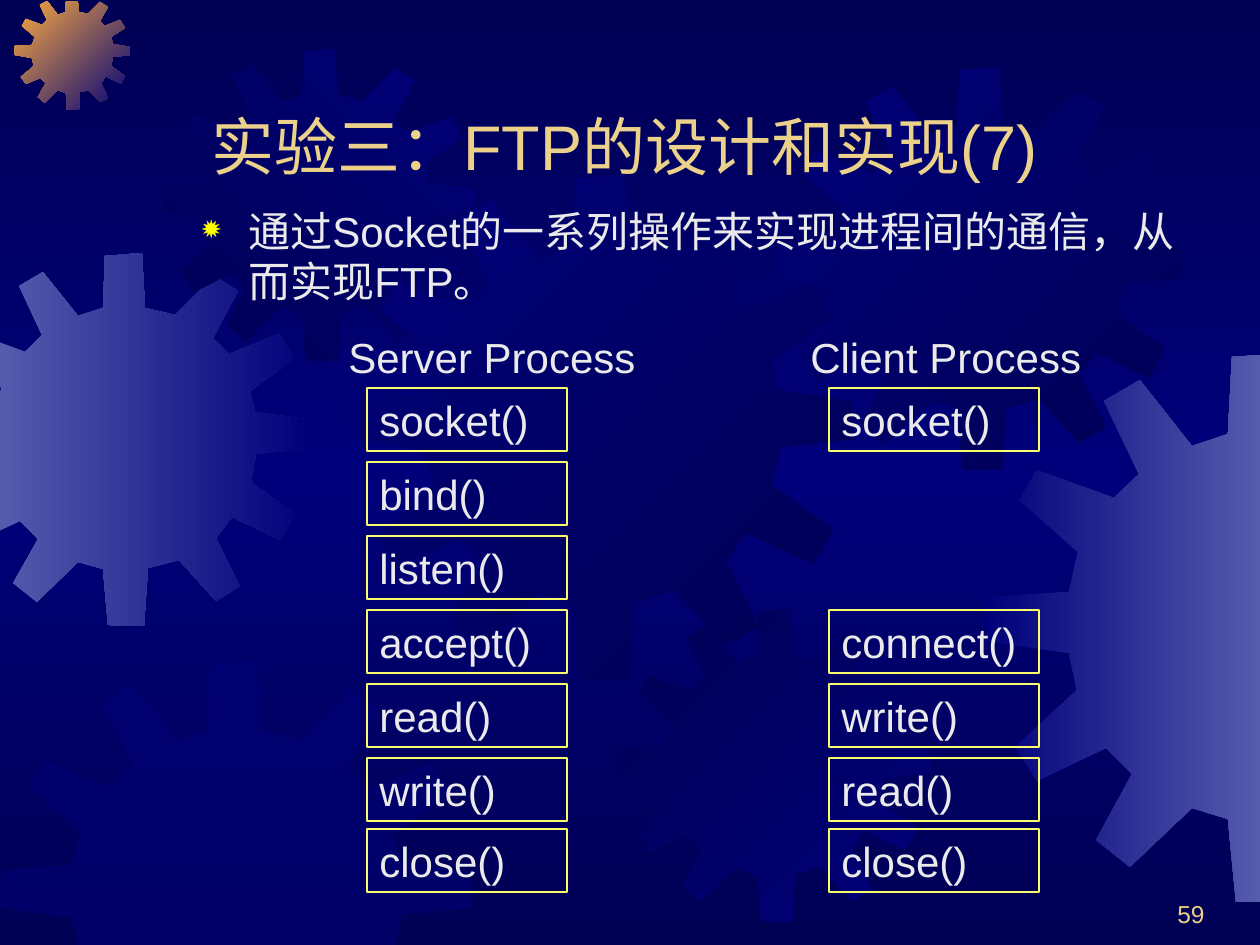
from copy import deepcopy

from lxml import etree
from pptx import Presentation
from pptx import util as u
from pptx.dml.color import RGBColor
from pptx.enum import shapes, text
from pptx.oxml.ns import qn

PX = u.Inches(1) // 126
FONT = "Arial"
COLORS = {
    "night": "000054", "blue": "00007A", "haze": "555BAD", "orange": "FCAB40",
    "gold": "EBD189", "white": "EAEAEA", "yellow": "FAFD6B", "bullet": "FFFF00",
}

# One gear outline, on a square of GEAR_UNITS a side
GEAR_UNITS = 401
GEAR = [
    (255, 67), (223, 59), (219, 0), (180, 3), (177, 59), (151, 68),
    (113, 20), (87, 35), (112, 88), (94, 106), (38, 85), (25, 107),
    (68, 145), (61, 174), (1, 178), (0, 210), (61, 219), (67, 246),
    (22, 287), (38, 312), (88, 288), (107, 307), (81, 355), (106, 375),
    (151, 332), (177, 340), (183, 400), (222, 401), (226, 339), (259, 330),
    (299, 374), (325, 358), (299, 306), (316, 284), (368, 309), (384, 281),
    (336, 246), (342, 216), (401, 210), (400, 180), (341, 171), (335, 148),
    (383, 114), (367, 87), (313, 109), (296, 91), (323, 41), (297, 25),
]
# left, top, size, first colour, last colour, clockwise angle
GEARS = [
    (-62, 253, 373, "haze", "blue", 0),
    (15, -5, 115, "orange", "blue", 45),
    (164, 49, 312, "night", "blue", 315),
    (349, 175, 505, "blue", "night", 45),
    (0, 661, 471, "blue", None, 0),
    (619, 610, 312, "night", "blue", 45),
    (779, 67, 403, "blue", "night", 45),
    (985, 353, 550, "blue", "haze", 0),
]
# axis, limit, side to keep
EDGES = [(0, -1, 1), (0, 1261, -1), (1, 2, 1), (1, 950, -1)]

ROW_TOPS = [*range(388, 759, 74), 829]
SERVER_CALLS = ["socket()", "bind()", "listen()", "accept()", "read()", "write()", "close()"]
CLIENT_CALLS = ["socket()", None, None, "connect()", "write()", "read()", "close()"]


def rgb(name):
    return RGBColor.from_string(COLORS[name])


def clip(points, axis, limit, side):
    """Cut a polygon along one edge of the page."""
    kept = []
    for start, end in zip(points[-1:] + points[:-1], points):
        start_in = (start[axis] - limit) * side >= 0
        end_in = (end[axis] - limit) * side >= 0
        if start_in != end_in:
            share = (limit - start[axis]) / (end[axis] - start[axis])
            kept.append(tuple(a + share * (b - a) for a, b in zip(start, end)))
        if end_in:
            kept.append(end)
    return kept


def set_gradient(fill, first, last, angle):
    fill.gradient()
    fill.gradient_angle = (360 - angle) % 360
    for stop, name, position in zip(fill.gradient_stops, (first, last), (0, 1)):
        stop.color.rgb = rgb(name)
        stop.position = position


def paint_background(page):
    """Dark at top and bottom, lighter in the middle."""
    set_gradient(page.background.fill, "night", "blue", 90)
    stops = page.background._cSld.find(".//" + qn("a:gsLst"))
    stops[1].set("pos", "50000")
    bottom = deepcopy(stops[0])
    bottom.set("pos", "100000")
    stops.append(bottom)


def add_gear(page, left, top, size, first, last, angle):
    scale = size / GEAR_UNITS
    points = [(left + x * scale, top + y * scale) for x, y in GEAR]
    for edge in EDGES:
        points = clip(points, *edge)
    builder = page.shapes.build_freeform(*points[0], scale=PX)
    builder.add_line_segments(points[1:], close=True)
    gear = builder.convert_to_shape()
    gear.shadow.inherit = False
    gear.line.fill.background()
    if last:
        set_gradient(gear.fill, first, last, angle)
    else:
        gear.fill.solid()
        gear.fill.fore_color.rgb = rgb(first)
        color = gear._element.spPr.find(".//" + qn("a:srgbClr"))
        etree.SubElement(color, qn("a:alpha"), val="50000")


def write(box, words, size=24, color="white", anchor=text.MSO_ANCHOR.TOP,
          align=text.PP_ALIGN.LEFT):
    frame = box.text_frame
    frame.word_wrap = True
    frame.vertical_anchor = anchor
    frame.text = words
    para = frame.paragraphs[0]
    para.alignment = align
    for span in para.runs:
        span.font.name = FONT
        span.font.size = u.Pt(size)
        span.font.color.rgb = rgb(color)
    return para


def add_label(page, left, top, width, height, words, **style):
    box = page.shapes.add_textbox(*(n * PX for n in (left, top, width, height)))
    return write(box, words, **style)


def add_bullet(para):
    props = para._p.get_or_add_pPr()
    indent = 47 * PX
    props.set("marL", str(indent))
    props.set("indent", str(-indent))
    color = etree.SubElement(props, qn("a:buClr"))
    etree.SubElement(color, qn("a:srgbClr"), val=COLORS["bullet"])
    etree.SubElement(props, qn("a:buSzPct"), val="80000")
    etree.SubElement(props, qn("a:buChar"), char="✹")


def add_calls(page, left, width, calls):
    """A column of framed system calls; None leaves a row empty."""
    for top, call in zip(ROW_TOPS, calls):
        if call:
            box = page.shapes.add_shape(shapes.MSO_SHAPE.RECTANGLE, left * PX,
                                        top * PX, width * PX, 63 * PX)
            box.shadow.inherit = False
            box.fill.background()
            box.line.color.rgb = rgb("yellow")
            box.line.width = u.Pt(1)
            write(box, call)


def main():
    deck = Presentation()
    deck.slide_width, deck.slide_height = u.Inches(10), u.Inches(7.5)
    page = deck.slides.add_slide(deck.slide_layouts[6])
    paint_background(page)
    for gear in GEARS:
        add_gear(page, *gear)

    bottom = text.MSO_ANCHOR.BOTTOM
    add_label(page, 955, 872, 262, 63, "59", size=14, color="gold",
              anchor=bottom, align=text.PP_ALIGN.RIGHT)
    add_label(page, 199, 32, 1040, 157, "实验三：FTP的设计和实现(7)",
              size=36, color="gold", anchor=bottom)
    add_bullet(add_label(page, 189, 199, 1040, 136,
                         "通过Socket的一系列操作来实现进程间的通信，从而实现FTP。"))

    add_label(page, 336, 325, 357, 63, "Server Process")
    add_label(page, 798, 325, 315, 63, "Client Process")
    add_calls(page, 367, 200, SERVER_CALLS)
    add_calls(page, 829, 210, CLIENT_CALLS)
    deck.save("out.pptx")


if __name__ == "__main__":
    main()
